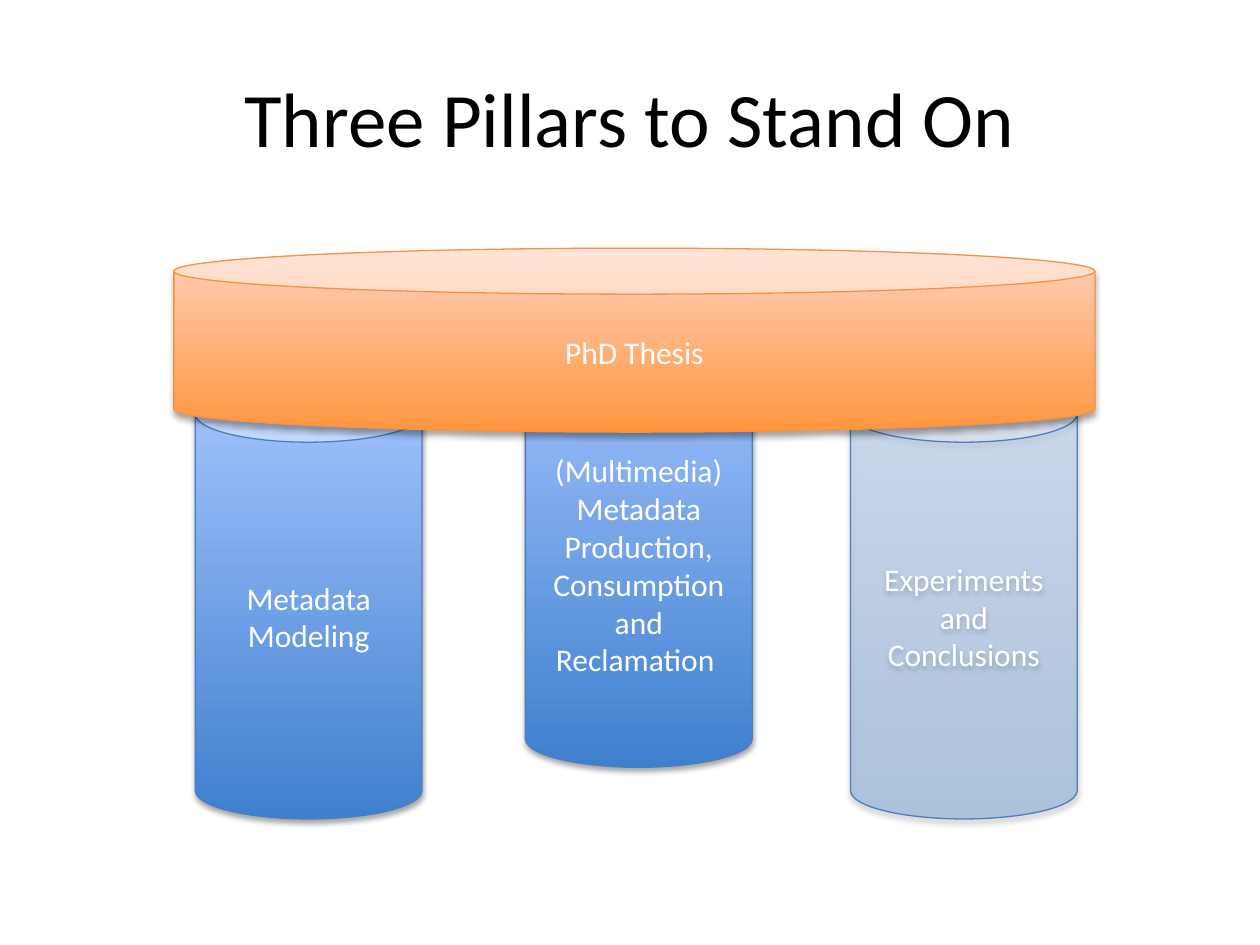
from pptx import Presentation
from pptx.dml.color import RGBColor
from pptx.enum.shapes import MSO_SHAPE
from pptx.enum.text import MSO_ANCHOR, PP_ALIGN
from pptx.oxml.ns import qn
from pptx.util import Inches, Pt
from lxml.etree import SubElement

COLORS = {
    "title": "000000",
    "label": "FFFFFF",
    "shadow": "000000",
    "pillar_bottom": "3F80CE",
    "pillar_top": "A4C4FF",
    "pillar_line": "4B7EBC",
    "roof_bottom": "FF953E",
    "roof_top": "FFD2BD",
    "roof_line": "F69240",
}


class PillarSlide:
    """Holds the style and the current slide, and adds each kind of element."""

    font = "Calibri"
    title_size = 44
    label_size = 18

    def __init__(self, page):
        self.page = page

    def color(self, name):
        """Return the named colour."""
        return RGBColor.from_string(COLORS[name])

    def add_text(self, shape, lines, size, color):
        """Put centred paragraphs into a shape."""
        frame = shape.text_frame
        frame.word_wrap = True
        frame.vertical_anchor = MSO_ANCHOR.MIDDLE
        for index, line in enumerate(lines):
            para = frame.add_paragraph() if index else frame.paragraphs[0]
            para.alignment = PP_ALIGN.CENTER
            span = para.add_run()
            span.text = line
            span.font.name = self.font
            span.font.size = Pt(size)
            span.font.color.rgb = self.color(color)

    def title(self, text, left, top, width, height):
        """Add the slide title."""
        box = self.page.shapes.add_textbox(
            Inches(left), Inches(top), Inches(width), Inches(height))
        self.add_text(box, [text], self.title_size, "title")

    def shadow(self, shape):
        """Give a shape a soft shadow that falls straight down."""
        shape.shadow.inherit = False
        effects = shape._element.spPr.find(qn("a:effectLst"))
        outer = SubElement(effects, qn("a:outerShdw"), blurRad=str(Pt(3.1)),
                           dist=str(Pt(1.8)), dir="5400000", rotWithShape="0")
        tone = SubElement(outer, qn("a:srgbClr"), val=COLORS["shadow"])
        SubElement(tone, qn("a:alpha"), val="35000")

    def can(self, lines, left, top, width, height, part, opacity=100):
        """Add a labelled cylinder with a vertical gradient."""
        can = self.page.shapes.add_shape(
            MSO_SHAPE.CAN, Inches(left), Inches(top), Inches(width), Inches(height))
        can.fill.gradient()
        can.fill.gradient_angle = 90
        for stop, position, end in zip(can.fill.gradient_stops, (0, 1), ("bottom", "top")):
            stop.position = position
            stop.color.rgb = self.color(f"{part}_{end}")
        if opacity < 100:
            for tone in can._element.spPr.iter(qn("a:srgbClr")):
                SubElement(tone, qn("a:alpha"), val=str(opacity * 1000))
        can.line.color.rgb = self.color(f"{part}_line")
        can.line.width = Pt(0.75)
        self.shadow(can)
        self.add_text(can, lines, self.label_size, "label")


def main():
    """Build the slide and save the deck."""
    deck = Presentation()
    deck.slide_width, deck.slide_height = Inches(10), Inches(7.5)
    slide = PillarSlide(deck.slides.add_slide(deck.slide_layouts[6]))
    slide.title("Three Pillars to Stand On", 0.5, 0.3, 9, 1.25)
    pillars = [
        (["Metadata Modeling"], 1.55, 3.06, 100),
        (["(Multimedia)", "Metadata", "Production, Consumption and Reclamation "],
         4.17, 2.65, 100),
        (["Experiments and Conclusions"], 6.75, 3.06, 33),
    ]
    for lines, left, top, opacity in pillars:
        slide.can(lines, left, top, 1.8, 3.44, "pillar", opacity)
    slide.can(["PhD Thesis"], 1.38, 1.97, 7.31, 1.46, "roof")
    deck.save("out.pptx")


if __name__ == "__main__":
    main()
